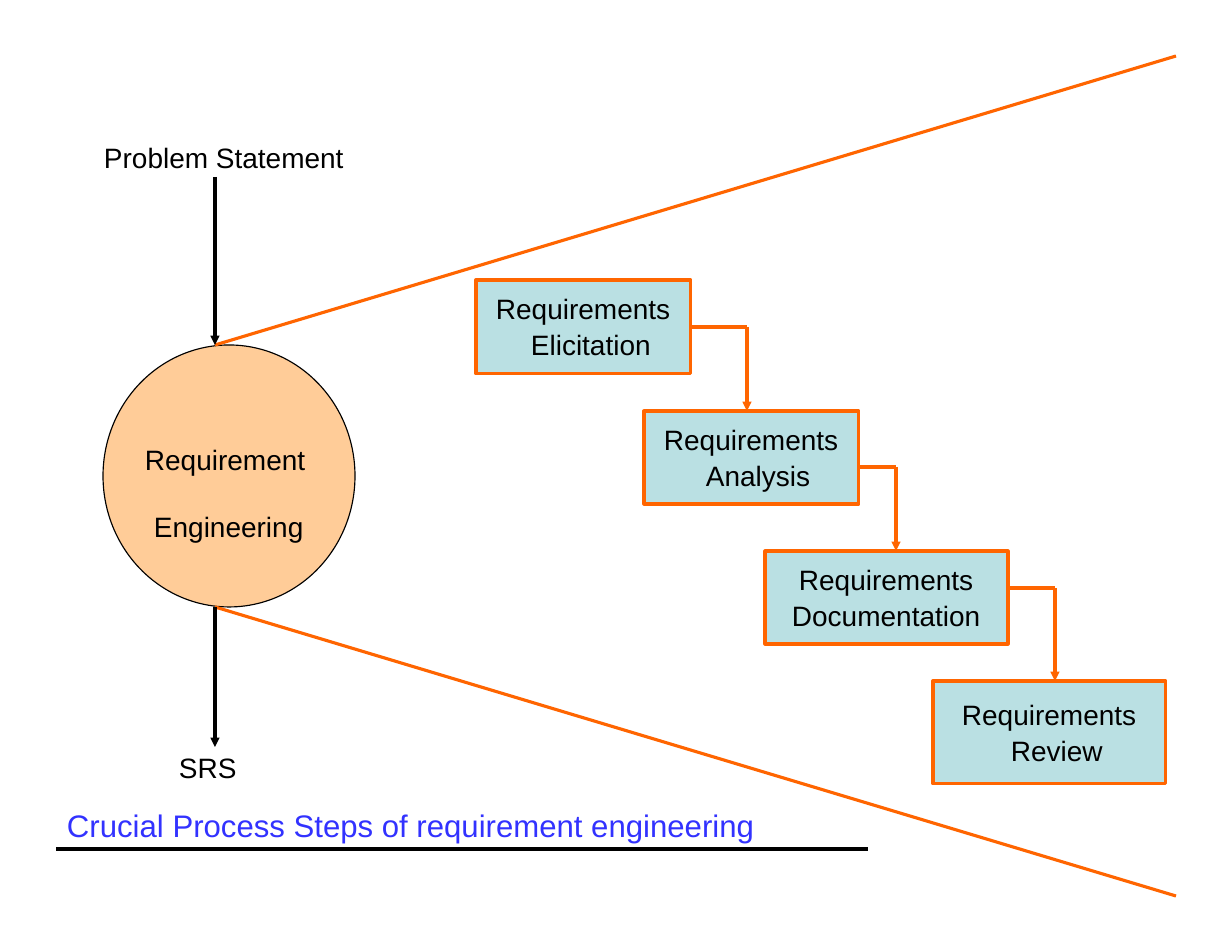
"""Builds the slide on the crucial process steps of requirement engineering."""
from lxml import etree
from pptx import Presentation
from pptx.dml.color import RGBColor
from pptx.enum.shapes import MSO_CONNECTOR, MSO_SHAPE
from pptx.enum.text import MSO_ANCHOR, PP_ALIGN
from pptx.oxml.ns import qn
from pptx.util import Emu, Pt

STRAIGHT = MSO_CONNECTOR.STRAIGHT
RECTANGLE, OVAL = MSO_SHAPE.RECTANGLE, MSO_SHAPE.OVAL
TOP, LEFT = MSO_ANCHOR.TOP, PP_ALIGN.LEFT
PX = 914400 / 112
BLACK, ORANGE, PEACH, TEAL, BLUE = "000000", "FF6500", "FFCC98", "BAE0E3", "3232FF"


def write(shape, lines, size=18, color=BLACK, top=1, gap=1):
    """Fill a shape with (text, left indent) lines."""
    frame = shape.text_frame
    frame.word_wrap = True
    frame.vertical_anchor = TOP
    frame.margin_left = frame.margin_right = frame.margin_bottom = 0
    frame.margin_top = Emu(round(top * PX))
    for index, (text, indent) in enumerate(lines):
        paragraph = frame.add_paragraph() if index else frame.paragraphs[0]
        paragraph.text = text
        paragraph.alignment = LEFT
        paragraph._p.get_or_add_pPr().set("marL", str(round(indent * PX)))
        if index:
            paragraph.space_before = Pt(gap)
        font = paragraph.runs[0].font
        font.name, font.size = "Arial", Pt(size)
        font.color.rgb = RGBColor.from_string(color)


def connect(start, end, color, arrow=False):
    """Draw a straight connector, with an arrowhead at its end if wanted."""
    points = [Emu(round(value * PX)) for value in (*start, *end)]
    connector = slide.shapes.add_connector(STRAIGHT, *points)
    connector.line.color.rgb = RGBColor.from_string(color)
    connector.line.width = Pt(2)
    if arrow:
        etree.SubElement(connector.line._get_or_add_ln(), qn("a:tailEnd"), type="triangle")
    etree.SubElement(connector._element.spPr, qn("a:effectLst"))
    return connector


presentation = Presentation()
presentation.slide_width = Emu(round(1232 * PX))
presentation.slide_height = Emu(round(952 * PX))
slide = presentation.slides.add_slide(presentation.slide_layouts[6])

shapes = {}
for name, kind, box, fill, line, width in [
    ("circle", OVAL, (103, 345, 252, 262), PEACH, BLACK, 0.75),
    ("elicitation", RECTANGLE, (476, 280, 215, 94), TEAL, ORANGE, 2),
    ("analysis", RECTANGLE, (644, 411, 215, 93), TEAL, ORANGE, 2),
    ("documentation", RECTANGLE, (765, 551, 243, 93), TEAL, ORANGE, 2),
    ("review", RECTANGLE, (933, 681, 233, 103), TEAL, ORANGE, 2),
]:
    shape = slide.shapes.add_shape(kind, *[Emu(round(value * PX)) for value in box])
    shape.shadow.inherit = False
    shape.fill.solid()
    shape.fill.fore_color.rgb = RGBColor.from_string(fill)
    shape.line.color.rgb = RGBColor.from_string(line)
    shape.line.width = Pt(width)
    shapes[name] = shape

write(shapes["elicitation"], [("Requirements", 20), ("Elicitation", 55)], top=12)
write(shapes["analysis"], [("Requirements", 20), ("Analysis", 62)], top=12)
write(shapes["documentation"], [("Requirements", 34), ("Documentation", 27)], top=12)
write(shapes["review"], [("Requirements", 29), ("Review", 78)], top=17)

for lines, box, style in [
    ([("Requirement", 2), ("Engineering", 11)], (143, 441, 190, 102), {"gap": 22}),
    ([("Problem Statement", 1)], (103, 139, 260, 37), {}),
    ([("SRS", 1)], (178, 749, 80, 37), {}),
    ([("Crucial Process Steps of requirement engineering", 1)], (66, 805, 710, 40),
     {"size": 20, "color": BLUE}),
]:
    label = slide.shapes.add_textbox(*[Emu(round(value * PX)) for value in box])
    write(label, lines, **style)

connect((215, 345), (1176, 56), ORANGE)
connect((215, 607), (1176, 896), ORANGE)
connect((215, 177), (215, 345), BLACK, arrow=True)
connect((215, 607), (215, 747), BLACK, arrow=True)
connect((56, 849), (868, 849), BLACK)

steps = [(691, 747, 327, 411), (859, 896, 467, 551), (1008, 1055, 588, 681)]
for index, (left, right, top, bottom) in enumerate(steps):
    branch = connect((left, top), (right, top), ORANGE)
    if index == 0:
        branch.begin_connect(shapes["elicitation"], 3)
    connect((right, top), (right, bottom), ORANGE, arrow=True)

presentation.save("out.pptx")
